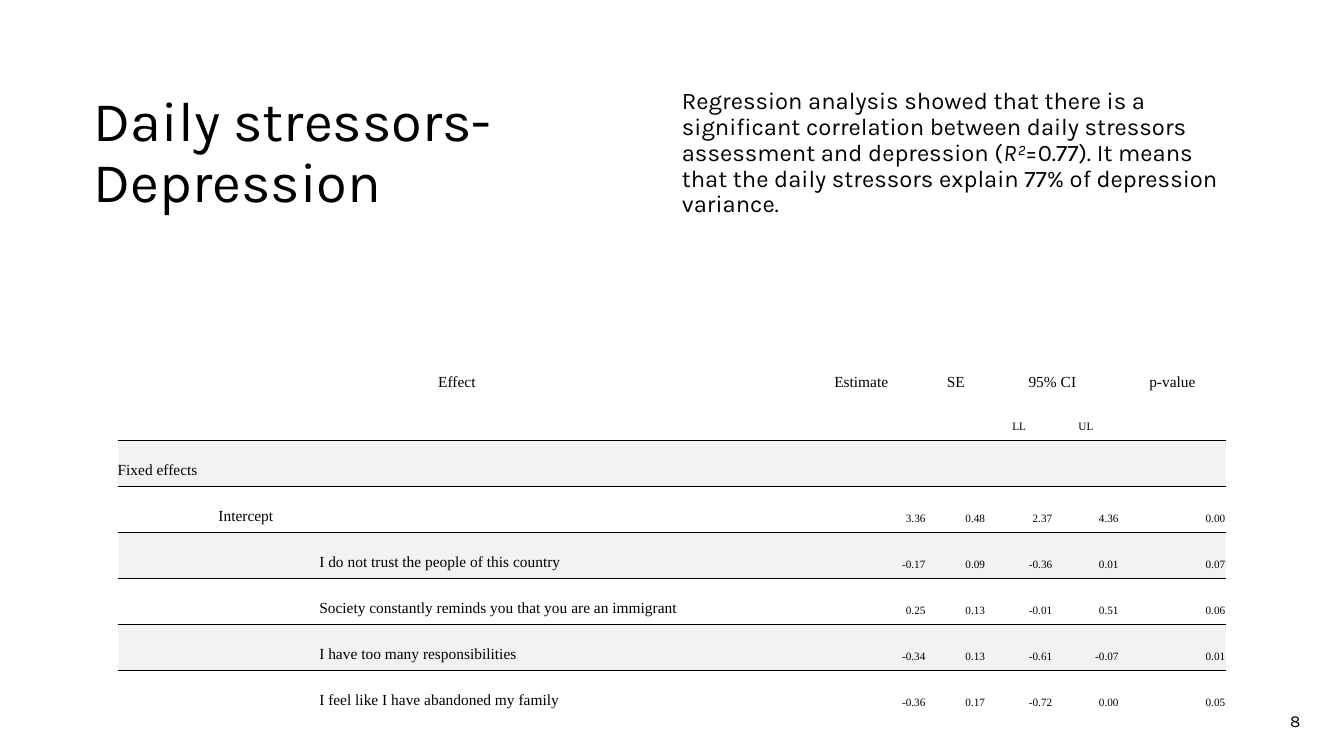
from lxml import etree
from pptx import Presentation
from pptx.dml.color import RGBColor
from pptx.enum.shapes import MSO_SHAPE
from pptx.enum.text import MSO_ANCHOR, PP_ALIGN
from pptx.oxml.ns import qn
from pptx.util import Inches, Pt

RECT = MSO_SHAPE.RECTANGLE
MIDDLE, BOTTOM = MSO_ANCHOR.MIDDLE, MSO_ANCHOR.BOTTOM
LEFT, MID, RIGHT = PP_ALIGN.LEFT, PP_ALIGN.CENTER, PP_ALIGN.RIGHT
COLS, ROWS = 16, 9
PLAIN = "{2D5ABB26-0587-4C30-8999-92F81FD0307C}"

WIDTHS = [8.09, 1.54, 0.71, 0.8, 0.79, 1.27]
HEADS = ["Effect", "Estimate", "SE", "95% CI", "", "p-value"]
LIMITS = ["", "", "", "LL", "UL", ""]
EFFECTS = [
    (0, "Fixed effects", [""] * 5),
    (1, "Intercept", ["3.36", "0.48", "2.37", "4.36", "0.00"]),
    (2, "I do not trust the people of this country",
     ["-0.17", "0.09", "-0.36", "0.01", "0.07"]),
    (2, "Society constantly reminds you that you are an immigrant",
     ["0.25", "0.13", "-0.01", "0.51", "0.06"]),
    (2, "I have too many responsibilities",
     ["-0.34", "0.13", "-0.61", "-0.07", "0.01"]),
    (2, "I feel like I have abandoned my family",
     ["-0.36", "0.17", "-0.72", "0.00", "0.05"]),
]


def color(code):
    return RGBColor.from_string(code)


class Page:
    sans, serif = "Karla", "Times New Roman"
    ink, paper, band = "000000", "FFFFFF", "F2F2F2"

    def __init__(self, deck):
        self.slide = deck.slides.add_slide(deck.slide_layouts[6])
        self.wide = deck.slide_width / COLS
        self.high = deck.slide_height / ROWS

    def place(self, left, top, width, height):
        return (round(left * self.wide), round(top * self.high),
                round(width * self.wide), round(height * self.high))

    def panel(self, *area):
        shape = self.slide.shapes.add_shape(RECT, *self.place(*area))
        shape.shadow.inherit = False
        shape.fill.solid()
        shape.fill.fore_color.rgb = color(self.paper)
        shape.line.fill.background()

    def add_run(self, para, text, size, font, slant=False):
        run = para.add_run()
        run.text = text
        run.font.size = Pt(size)
        run.font.name = font
        run.font.italic = slant
        run.font.color.rgb = color(self.ink)

    def text(self, area, size, parts, align=LEFT, space=0.9):
        box = self.slide.shapes.add_textbox(*self.place(*area))
        frame = box.text_frame
        frame.word_wrap = True
        frame.vertical_anchor = MIDDLE
        para = frame.paragraphs[0]
        para.alignment = align
        para.line_spacing = space
        for part, slant in parts:
            self.add_run(para, part, size, self.sans, slant)

    def table(self, left, top, widths, count, height):
        area = self.place(left, top, sum(widths), count * height)
        table = self.slide.shapes.add_table(count, len(widths), *area).table
        table.first_row = table.horz_banding = False
        table._tbl.tblPr.find(qn("a:tableStyleId")).text = PLAIN
        for col, width in zip(table.columns, widths):
            col.width = round(width * self.wide)
        for row in table.rows:
            row.height = round(height * self.high)
        return table

    def cell(self, cell, text, size, align, level=0, shade=False):
        cell.vertical_anchor = BOTTOM
        cell.margin_left = Inches(level)
        cell.margin_top = Inches(0.02)
        cell.margin_right = Inches(0.01)
        cell.margin_bottom = Inches(0.07)
        if shade:
            cell.fill.solid()
            cell.fill.fore_color.rgb = color(self.band)
        else:
            cell.fill.background()
        if text:
            para = cell.text_frame.paragraphs[0]
            para.alignment = align
            para.line_spacing = 2
            self.add_run(para, text, size, self.serif)

    def rule(self, cell, side):
        line = etree.Element(qn("a:" + side), w=str(Pt(0.75)))
        fill = etree.SubElement(line, qn("a:solidFill"))
        etree.SubElement(fill, qn("a:srgbClr"), val=self.ink)
        cell._tc.get_or_add_tcPr().insert(0, line)


def main():
    deck = Presentation()
    deck.slide_width, deck.slide_height = Inches(13.33), Inches(7.5)
    page = Page(deck)
    page.panel(0, 0, COLS, 3.68)
    page.text((1, 0.44, 6.17, 2.78), 40,
              [("Daily stressors-Depression", False)])
    page.text((8, 0.44, 6.89, 2.78), 17, [
        ("Regression analysis showed that there is a significant correlation "
         "between daily stressors assessment and depression (", False),
        ("R²", True),
        ("=0.77). It means that the daily stressors explain 77% of "
         "depression variance.", False),
    ])
    page.text((11.4, 8.34, 4.2, 0.48), 12, [("8", False)], RIGHT, 1)

    grid = page.table(1.4, 4.19, WIDTHS, len(EFFECTS) + 2, 0.5)
    grid.cell(0, 3).merge(grid.cell(0, 4))
    for col, (head, limit) in enumerate(zip(HEADS, LIMITS)):
        page.cell(grid.cell(0, col), head, 11, MID)
        page.cell(grid.cell(1, col), limit, 8, MID)
    for row, (level, effect, values) in enumerate(EFFECTS, 2):
        shade = row % 2 == 0
        page.cell(grid.cell(row, 0), effect, 11, LEFT, level, shade)
        for col, value in enumerate(values, 1):
            page.cell(grid.cell(row, col), value, 8, RIGHT, 0, shade)
        if shade:
            for col in range(len(WIDTHS)):
                page.rule(grid.cell(row - 1, col), "lnB")
                page.rule(grid.cell(row, col), "lnT")
    deck.save("out.pptx")


if __name__ == "__main__":
    main()
